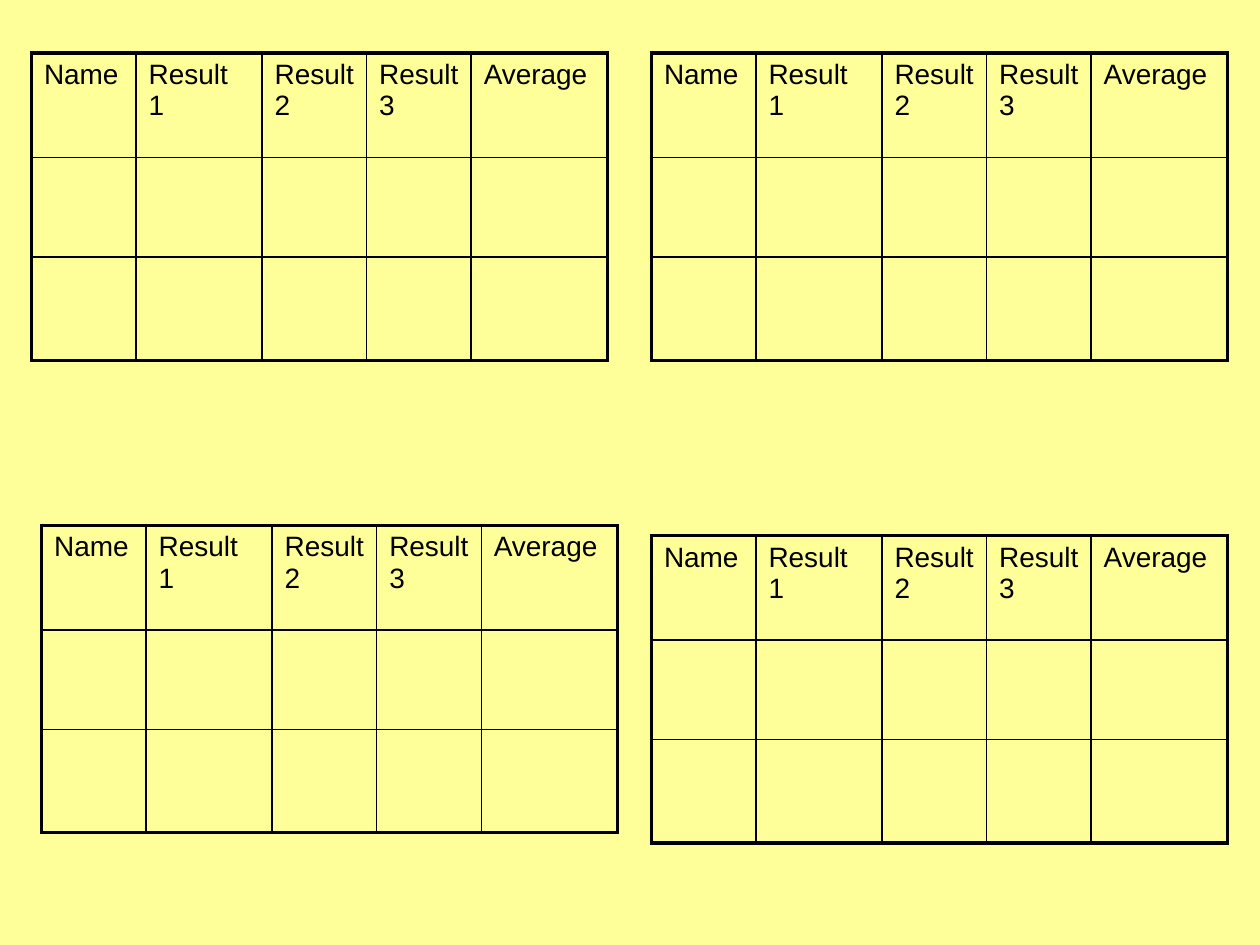
from lxml.etree import SubElement
from pptx import Presentation
from pptx.dml.color import RGBColor
from pptx.oxml.ns import qn
from pptx.util import Inches, Pt

COLORS = {"background": "FFFF99", "ink": "000000"}
HEADINGS = ["Name", "Result 1", "Result 2", "Result 3", "Average"]
COLUMN_WIDTHS = [0.83, 1, 0.83, 0.83, 1.08]
ROW_HEIGHTS = [0.83, 0.79, 0.82]
TABLE_POSITIONS = [(0.25, 0.42), (0.33, 4.17), (5.17, 0.42), (5.17, 4.25)]
OUTER_LINE, INNER_LINE = Pt(2.25), Pt(1)
HEADING_FONT = {"name": "Arial", "size": Pt(16), "bold": False}


def add_border(cell, side, width):
    properties = cell._tc.get_or_add_tcPr()
    line = SubElement(properties, qn(f"a:ln{side}"), w=str(width))
    fill = SubElement(line, qn("a:solidFill"))
    SubElement(fill, qn("a:srgbClr"), val=COLORS["ink"])


presentation = Presentation()
presentation.slide_width = Inches(10)
presentation.slide_height = Inches(7.5)
slide = presentation.slides.add_slide(presentation.slide_layouts[6])

# Background
background = slide.background.fill
background.solid()
background.fore_color.rgb = RGBColor.from_string(COLORS["background"])

# Four result tables
last_row = len(ROW_HEIGHTS) - 1
last_column = len(COLUMN_WIDTHS) - 1
for left, top in TABLE_POSITIONS:
    table = slide.shapes.add_table(
        len(ROW_HEIGHTS), len(COLUMN_WIDTHS), Inches(left), Inches(top),
        Inches(sum(COLUMN_WIDTHS)), Inches(sum(ROW_HEIGHTS))).table
    table.first_row = False
    table.horz_banding = False
    for column, width in zip(table.columns, COLUMN_WIDTHS):
        column.width = Inches(width)
    for row, height in zip(table.rows, ROW_HEIGHTS):
        row.height = Inches(height)

    # Heavy outer frame, thin inner grid, no cell fill
    for row_index, row in enumerate(table.rows):
        for column_index, cell in enumerate(row.cells):
            on_edge = {"L": column_index == 0, "R": column_index == last_column,
                       "T": row_index == 0, "B": row_index == last_row}
            for side, is_outer in on_edge.items():
                add_border(cell, side, OUTER_LINE if is_outer else INNER_LINE)
            cell.fill.background()

    # Heading row
    for cell, heading in zip(table.rows[0].cells, HEADINGS):
        cell.text = heading
        font = cell.text_frame.paragraphs[0].runs[0].font
        for attribute, value in HEADING_FONT.items():
            setattr(font, attribute, value)
        font.color.rgb = RGBColor.from_string(COLORS["ink"])

presentation.save("out.pptx")
